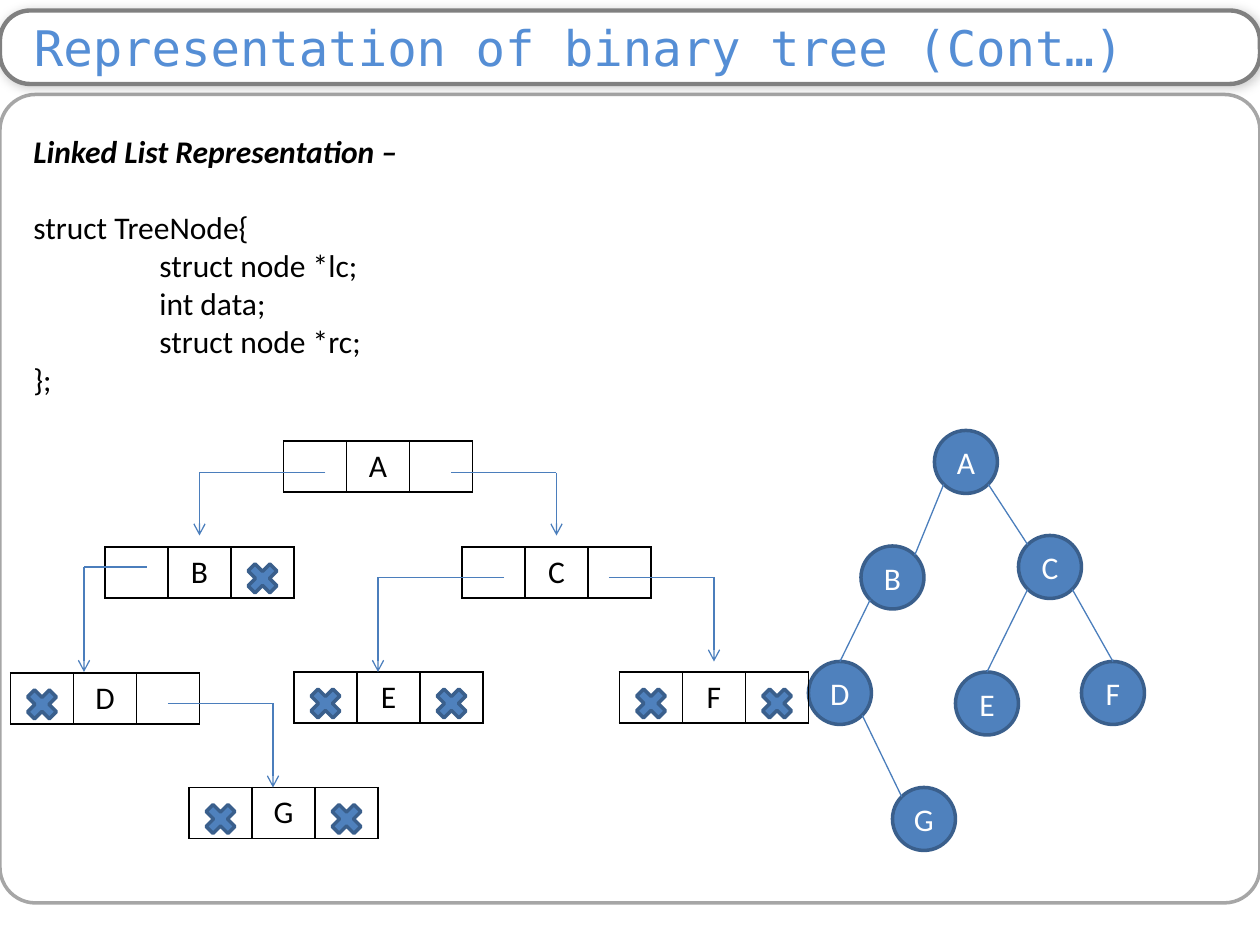
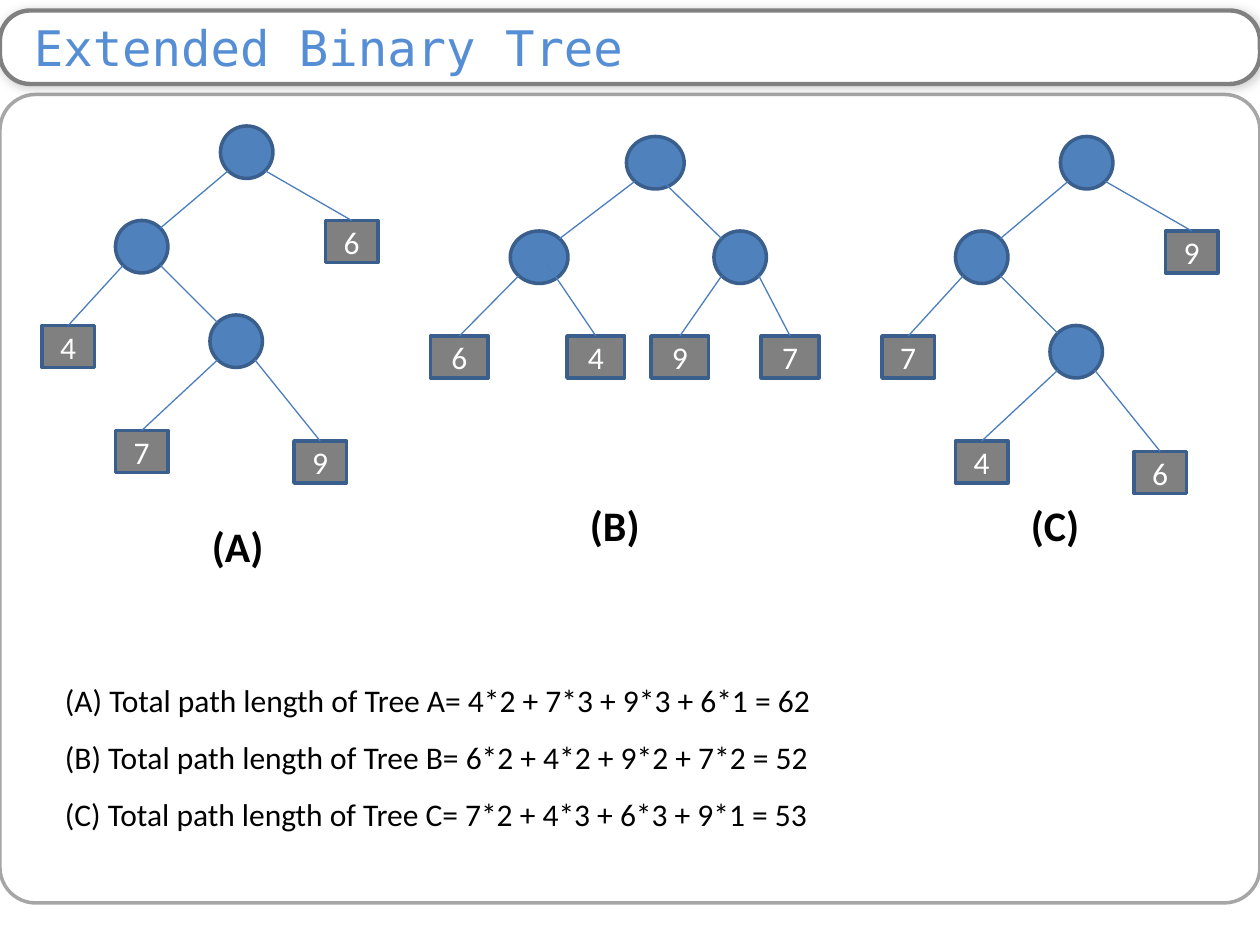
from math import sqrt

from lxml.etree import SubElement
from pptx import Presentation
from pptx.dml.color import RGBColor
from pptx.enum.shapes import MSO_CONNECTOR, MSO_SHAPE as SHAPE
from pptx.enum.text import MSO_ANCHOR as ANCHOR, MSO_AUTO_SIZE, PP_ALIGN as ALIGN
from pptx.oxml.ns import qn
from pptx.util import Pt

TITLE_ONLY = 5
BLUE, NODE_EDGE, BRANCH = "4F81BD", "3A5F8C", "4B7EBC"
GRAY, FRAME_GRAY, TITLE_BLUE = "808080", "A6A6A6", "558ED5"
BLACK, WHITE = "000000", "FFFFFF"


def rgb(value):
    return RGBColor.from_string(value)


def write(paragraph, text, size=18, color=BLACK, font="Calibri", bold=False,
          italic=False, align=ALIGN.LEFT, before=0, spacing=None, indent=0):
    run = paragraph.add_run()
    run.text = text
    run.font.size, run.font.name = Pt(size), font
    run.font.bold, run.font.italic = bold, italic
    run.font.color.rgb = rgb(color)
    paragraph.alignment = align
    paragraph.space_before = Pt(before)
    if spacing:
        paragraph.line_spacing = spacing
    if indent:
        paragraph._p.get_or_add_pPr().set("marL", str(Pt(indent)))


def set_margins(frame, left=0, top=0, right=0, bottom=0):
    frame.margin_left, frame.margin_top = Pt(left), Pt(top)
    frame.margin_right, frame.margin_bottom = Pt(right), Pt(bottom)


def corner(circle, right, lower):
    """Point in points on the circle, 45 degrees off its axes."""
    across = 0.5 + (1 if right else -1) / sqrt(8)
    down = 0.5 + (1 if lower else -1) / sqrt(8)
    return ((circle.left + across * circle.width) / Pt(1),
            (circle.top + down * circle.height) / Pt(1))


def top_middle(shape):
    return (shape.left + shape.width / 2) / Pt(1), shape.top / Pt(1)


def center_x(shape):
    return shape.left + shape.width / 2


class Deck:
    CELL, RECORD_HEIGHT = 36, 29.2

    def __init__(self):
        self.prs = Presentation()
        self.prs.slide_width, self.prs.slide_height = Pt(720), Pt(540)
        self.slide = None

    def start_slide(self, heading):
        self.slide = self.prs.slides.add_slide(self.prs.slide_layouts[TITLE_ONLY])
        self.shape(SHAPE.ROUNDED_RECTANGLE, 0, 54, 720, 462, None, FRAME_GRAY,
                   adjust=0.044)
        band = self.shape(SHAPE.ROUNDED_RECTANGLE, 0, 6, 720, 42, WHITE, GRAY,
                          weight=2.5, adjust=0.409)
        self.cast_shadow(band)
        title = self.slide.shapes.title
        title.left, title.top, title.width, title.height = Pt(5), Pt(6), Pt(710), Pt(42)
        frame = title.text_frame
        frame.auto_size, frame.word_wrap = MSO_AUTO_SIZE.NONE, True
        frame.vertical_anchor = ANCHOR.MIDDLE
        set_margins(frame, left=14.4, right=7.2)
        write(frame.paragraphs[0], heading, size=28, color=TITLE_BLUE,
              font="DejaVu Sans Mono")
        band.element.addnext(title.element)

    def cast_shadow(self, shape):
        effects = shape.element.spPr.find(qn("a:effectLst"))
        shadow = SubElement(effects, qn("a:outerShdw"), blurRad=str(Pt(6)),
                            dist=str(Pt(1)), dir="2700000", rotWithShape="0")
        tone = SubElement(shadow, qn("a:srgbClr"), val=BLACK)
        SubElement(tone, qn("a:alpha"), val="20000")

    def shape(self, kind, left, top, width, height, fill=BLUE, edge=NODE_EDGE,
              weight=2, adjust=None, label=""):
        shape = self.slide.shapes.add_shape(kind, Pt(left), Pt(top), Pt(width), Pt(height))
        shape.shadow.inherit = False
        if fill:
            shape.fill.solid()
            shape.fill.fore_color.rgb = rgb(fill)
        else:
            shape.fill.background()
        shape.line.color.rgb = rgb(edge)
        shape.line.width = Pt(weight)
        if adjust is not None:
            shape.adjustments[0] = adjust
        if label:
            frame = shape.text_frame
            frame.vertical_anchor = ANCHOR.MIDDLE
            set_margins(frame)
            write(frame.paragraphs[0], label, color=WHITE, align=ALIGN.CENTER)
        return shape

    def circle(self, left, top, width=30, height=30, label=""):
        return self.shape(SHAPE.OVAL, left, top, width, height, label=label)

    def leaf(self, value, left, top, width=30):
        return self.shape(SHAPE.RECTANGLE, left, top, width, 24, GRAY, label=value)

    def text(self, left, top, width, height, paragraphs):
        """Place a text box; paragraphs holds pairs of text and format."""
        box = self.slide.shapes.add_textbox(Pt(left), Pt(top), Pt(width), Pt(height))
        frame = box.text_frame
        frame.word_wrap = True
        for index, (words, style) in enumerate(paragraphs):
            paragraph = frame.add_paragraph() if index else frame.paragraphs[0]
            write(paragraph, words, **style)

    def line(self, start, end, arrow=False):
        line = self.slide.shapes.add_connector(
            MSO_CONNECTOR.STRAIGHT, *(Pt(n) for n in (*start, *end)))
        line.line.color.rgb = rgb(BRANCH)
        line.line.width = Pt(0.75)
        properties = line.element.spPr
        if arrow:
            SubElement(properties.find(qn("a:ln")), qn("a:tailEnd"), type="arrow")
        SubElement(properties, qn("a:effectLst"))
        return line

    def branch(self, parent, child, to_top=False, start=None):
        """Join a circle to the facing corner, or to the top, of a circle below."""
        rightward = center_x(child) > center_x(parent)
        start = start or corner(parent, rightward, True)
        end = top_middle(child) if to_top else corner(child, not rightward, False)
        return self.line(start, end)

    def leaf_branch(self, parent, leaf, start=None):
        self.branch(parent, leaf, to_top=True, start=start).end_connect(leaf, 0)

    def record(self, letter, left, top, null_links=()):
        """Draw a linked node: left link, data, right link."""
        table = self.slide.shapes.add_table(
            1, 3, Pt(left), Pt(top), Pt(3 * self.CELL), Pt(self.RECORD_HEIGHT)).table
        table.first_row = table.horz_banding = False
        table.rows[0].height = Pt(self.RECORD_HEIGHT)
        for column in table.columns:
            column.width = Pt(self.CELL)
        for cell in table.iter_cells():
            properties = cell._tc.get_or_add_tcPr()
            for side in ("lnL", "lnR", "lnT", "lnB"):
                border = SubElement(properties, qn(f"a:{side}"), w=str(Pt(1)))
                paint = SubElement(border, qn("a:solidFill"))
                SubElement(paint, qn("a:srgbClr"), val=BLACK)
            cell.fill.background()
        write(table.cell(0, 1).text_frame.paragraphs[0], letter, align=ALIGN.CENTER)
        for column in null_links:
            self.shape(SHAPE.MATH_MULTIPLY, left + 6 + column * self.CELL, top + 6, 24, 24)

    def pointer(self, start_x, y, target_x, target_y):
        self.line((start_x, y), (target_x, y))
        self.line((target_x, y), (target_x, target_y), arrow=True)


def linked_list_slide(deck):
    deck.start_slide("Representation of binary tree (Cont…)")
    member = {"indent": 72}
    deck.text(12, 72, 696, 225, [
        ("Linked List Representation –", {"bold": True, "italic": True}),
        ("struct TreeNode{", {"before": 22}),
        ("struct node *lc;", member),
        ("int data;", member),
        ("struct node *rc;", member),
        ("};", {}),
    ])

    places = {"A": (534, 246), "C": (582, 306), "B": (492, 312), "F": (618, 378),
              "E": (546, 384), "D": (462, 378), "G": (510, 450)}
    nodes = {letter: deck.circle(*place, 36, 36, letter)
             for letter, place in places.items()}
    for parent, child in ("AB", "AC", "BD", "DG", "CF", "CE"):
        deck.branch(nodes[parent], nodes[child], to_top=child in "DEF")

    left_link, right_link = 0, 2
    both = (left_link, right_link)
    for letter, left, top, null_links in (
            ("A", 162, 252, ()), ("C", 264, 312.5, ()), ("B", 60, 312.5, (right_link,)),
            ("D", 6, 384.5, (left_link,)), ("G", 108, 450, both),
            ("E", 168, 384, both), ("F", 354, 384, both)):
        deck.record(letter, left, top, null_links)
    for pointer in ((186, 270, 114, 306), (258, 270, 318, 306), (84, 324, 48, 384),
                    (288, 330, 216, 384), (348, 330, 408, 378), (96, 402, 156, 450)):
        deck.pointer(*pointer)


def deep_tree(deck, x, y, values):
    """Draw a three-level tree with its root at x, y and four leaf values."""
    root = deck.circle(x, y)
    left = deck.circle(x - 60, y + 54)
    inner = deck.circle(x - 6, y + 108)
    deck.branch(root, left)
    deck.branch(left, inner)
    leaf_places = ((left, -102, 114), (inner, -60, 174), (inner, 42, 180), (root, 60, 54))
    for value, (parent, dx, dy) in zip(values, leaf_places):
        deck.leaf_branch(parent, deck.leaf(value, x + dx, y + dy))


def balanced_tree(deck):
    width = 33
    root = deck.circle(358, 78, width)
    left = deck.circle(291.6, 132, width)
    right = deck.circle(408, 132)
    deck.branch(root, left)
    deck.branch(root, right, start=(377.3, 102.2))
    for value, x, parent, start in (("6", 246, left, None), ("4", 324, left, (312, 150)),
                                    ("9", 372, right, None), ("7", 435, right, None)):
        deck.leaf_branch(parent, deck.leaf(value, x, 192, width), start)


def extended_tree_slide(deck):
    deck.start_slide("Extended Binary Tree")
    deep_tree(deck, 126, 72, "4796")
    balanced_tree(deck)
    deep_tree(deck, 606, 78, "7469")
    sums = {"A": "4*2 + 7*3 + 9*3 + 6*1 = 62",
            "B": "6*2 + 4*2 + 9*2 + 7*2 = 52",
            "C": "7*2 + 4*3 + 6*3 + 9*1 = 53"}
    deck.text(30, 375, 666, 138, [
        (f"({tree}) Total path length of Tree {tree}= {total}", {"spacing": 1.5})
        for tree, total in sums.items()])
    for tree, left, top in (("A", 114, 294), ("B", 330, 282), ("C", 582, 282)):
        deck.text(left, top, 48, 36, [(f"({tree})", {"size": 24, "bold": True})])


def main():
    deck = Deck()
    linked_list_slide(deck)
    extended_tree_slide(deck)
    deck.prs.save("out.pptx")


if __name__ == "__main__":
    main()
